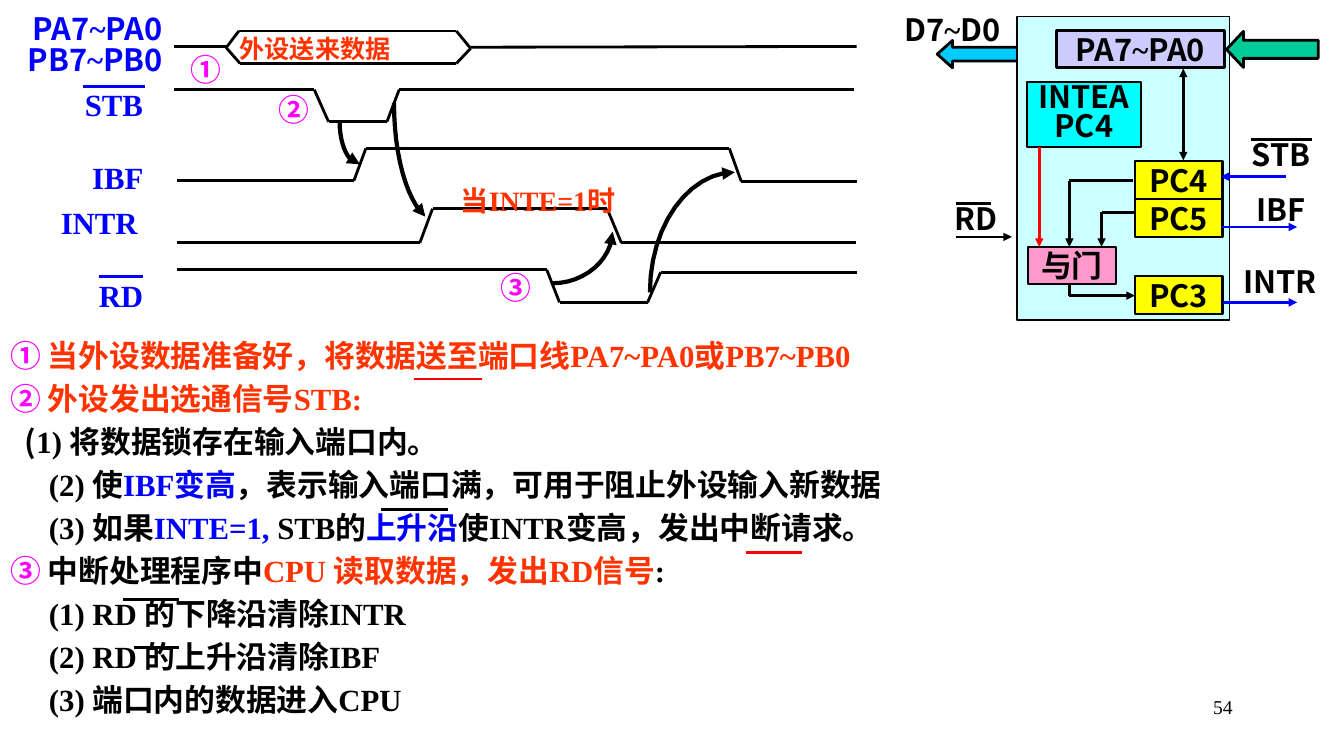
import dataclasses
import itertools

import lxml.etree
import pptx
import pptx.dml.color
import pptx.enum.shapes
import pptx.enum.text
import pptx.oxml.ns
import pptx.util

Cm, Pt = pptx.util.Cm, pptx.util.Pt
qn = pptx.oxml.ns.qn
SHAPES = pptx.enum.shapes.MSO_SHAPE
ALIGN = pptx.enum.text.PP_ALIGN
SANS, SERIF = "Noto Sans CJK SC", "Times New Roman"
COLORS = {
    "black": "000000", "blue": "0000FF", "red": "FF0000", "orange": "FF3300",
    "magenta": "FF00FF", "panel": "CCFFFF", "port": "CCCCFF", "pin": "FFFF00",
    "enable": "00FFFF", "gate": "FF99CC", "bus": "00CCFF", "device": "00CC99",
}


def rgb(color):
    """Look a colour up by name."""
    return pptx.dml.color.RGBColor.from_string(COLORS[color])


def set_face(font, name):
    """Set the Latin face, with the sans face for Chinese."""
    font.name = name
    lxml.etree.SubElement(font._element, qn("a:ea"), typeface=SANS)


def set_line(shape, color, width, ends=()):
    """Style an outline and add arrowheads at the named ends."""
    shape.line.color.rgb = rgb(color)
    shape.line.width = Pt(width)
    outline = shape._element.spPr.find(qn("a:ln"))
    for end in ends:
        lxml.etree.SubElement(outline, qn(f"a:{end}"), type="triangle")


def write(frame, text, color="black", face=SANS, size=22, spacing=1.2, bold=True):
    """Fill a text frame with centred lines, tildes in the serif face."""
    frame.word_wrap = True
    frame.vertical_anchor = pptx.enum.text.MSO_ANCHOR.MIDDLE
    frame.margin_left = frame.margin_right = frame.margin_top = frame.margin_bottom = 0
    for index, line in enumerate(text.split("\n")):
        para = frame.add_paragraph() if index else frame.paragraphs[0]
        para.alignment = ALIGN.CENTER
        para.line_spacing = Pt(size * spacing)
        para.font.size, para.font.bold = Pt(size), bold
        para.font.color.rgb = rgb(color)
        for piece in filter(None, line.partition("~")):
            span = para.add_run()
            span.text = piece
            set_face(span.font, SERIF if piece == "~" else face)


@dataclasses.dataclass
class Region:
    """A part of the page whose contents are placed from its corner, in cm."""
    page: object
    left: float
    top: float

    def place(self, x, y):
        """Turn region coordinates into page lengths."""
        return Cm(self.left + x), Cm(self.top + y)

    def line(self, points, color="black", ends=()):
        """Join the points with straight lines, arrowheads on the last one."""
        pairs = list(itertools.pairwise(points))
        for index, (start, finish) in enumerate(pairs, 1):
            connector = self.page.shapes.add_connector(
                pptx.enum.shapes.MSO_CONNECTOR.STRAIGHT,
                *self.place(*start), *self.place(*finish))
            set_line(connector, color, 2, ends if index == len(pairs) else ())
            lxml.etree.SubElement(connector._element.spPr, qn("a:effectLst"))

    def curve(self, controls, steps=12):
        """Draw a cubic curve that ends in an arrowhead."""
        points = []
        for step in range(steps + 1):
            t = step / steps
            weights = ((1 - t) ** 3, 3 * t * (1 - t) ** 2, 3 * t * t * (1 - t), t ** 3)
            points.append(self.place(*(
                sum(w * c for w, c in zip(weights, axis)) for axis in zip(*controls))))
        builder = self.page.shapes.build_freeform(*points[0])
        builder.add_line_segments(points[1:], close=False)
        arc = builder.convert_to_shape()
        arc.shadow.inherit = False
        arc.fill.background()
        set_line(arc, "black", 3, ("tailEnd",))

    def label(self, text, x, y, width=4.2, **style):
        """Centre a line of text on a point."""
        box = self.page.shapes.add_textbox(
            *self.place(x - width / 2, y - 0.5), Cm(width), Cm(1))
        write(box.text_frame, text, **style)

    def block(self, x, y, width, height, fill, outline=1.5, text="",
              kind=SHAPES.RECTANGLE, **style):
        """Draw a filled shape with optional text."""
        shape = self.page.shapes.add_shape(
            kind, *self.place(x, y), Cm(width), Cm(height))
        shape.shadow.inherit = False
        shape.fill.solid()
        shape.fill.fore_color.rgb = rgb(fill)
        set_line(shape, "black", outline)
        if text:
            write(shape.text_frame, text, **style)
        return shape


def add_notes(page, left, top, width, height):
    """Write the explanation in the body placeholder and overline its signals."""
    mark, key, plain = "magenta", "orange", "black"
    lines = [
        (0, [("① ", mark), ("当外设数据准备好，将数据送至端口线PA7~PA0或PB7~PB0", key)]),
        (0, [("② ", mark), ("外设发出选通信号STB:", key)]),
        (0.37, [("(", plain), ("1) 将数据锁存在输入端口内。", plain)]),
        (0.98, [("(2) 使", plain), ("IBF变高", "blue"),
                ("，表示输入端口满，可用于阻止外设输入新数据", plain)]),
        (0.98, [("(3) 如果", plain), ("INTE=1,", "blue"), (" STB的", plain),
                ("上升沿", "blue"), ("使INTR变高，发出中断请求。", plain)]),
        (0, [("③ ", mark), ("中断处理程序中", plain),
             ("CPU 读取数据，发出RD信号", key), (":", plain)]),
        (0.98, [("(1) RD 的下降沿清除INTR", plain)]),
        (0.98, [("(2) RD 的上升沿清除IBF", plain)]),
        (0.98, [("(3) 端口内的数据进入CPU", plain)]),
    ]
    region = Region(page, left, top)
    body = page.placeholders[1]
    body.left, body.top = region.place(0, 0.1)
    body.width, body.height = Cm(width), Cm(height)
    frame = body.text_frame
    frame.word_wrap = True
    frame.auto_size = pptx.enum.text.MSO_AUTO_SIZE.NONE
    frame.vertical_anchor = pptx.enum.text.MSO_ANCHOR.TOP
    for index, (indent, spans) in enumerate(lines):
        para = frame.add_paragraph() if index else frame.paragraphs[0]
        layout = para._p.get_or_add_pPr()
        layout.set("marL", str(Cm(indent)))
        layout.set("indent", "0")
        lxml.etree.SubElement(layout, qn("a:buNone"))
        para.alignment = ALIGN.LEFT
        para.line_spacing, para.space_before, para.space_after = Pt(26.4), Pt(0), Pt(4.4)
        para.font.size, para.font.bold = Pt(22), True
        for text, color in spans:
            span = para.add_run()
            span.text = text
            set_face(span.font, SANS if color == mark or text == "(" else SERIF)
            span.font.color.rgb = rgb(color)
    for start, finish, y, color in [
            (10.44, 12.14, 1.3, "red"), (9.6, 11.28, 4.58, "black"),
            (18.8, 20.22, 5.67, "red"), (3.1, 4.52, 6.86, "black"),
            (3.38, 4.52, 8.06, "black")]:
        region.line([(start, y), (finish, y)], color)


def add_timing(page, left, top):
    """Draw the timing diagram with its signal names and cause arrows."""
    region = Region(page, left, top)
    for text, x, y, face in [
            ("PA7~PA0", 2.46, 0.72, SANS), ("PB7~PB0", 2.4, 1.5, SANS),
            ("STB", 2.87, 2.62, SERIF), ("IBF", 2.97, 4.46, SERIF),
            ("INTR", 2.5, 5.6, SERIF), ("RD", 3.05, 7.43, SERIF)]:
        region.label(text, x, y, color="blue", face=face)
    region.line([(2.08, 2.18), (3.66, 2.18)], "blue")
    region.line([(2.49, 6.96), (3.61, 6.96)], "blue")
    for wave in [
            [(4.39, 1.17), (5.7, 1.17)],
            [(5.7, 1.2), (6.02, 0.78), (11.5, 0.78), (11.86, 1.22),
             (11.5, 1.6), (6.05, 1.6), (5.7, 1.2)],
            [(11.86, 1.19), (21.59, 1.17)],
            [(4.39, 2.26), (7.92, 2.26), (8.28, 3.07), (9.75, 3.07),
             (10.06, 2.26), (21.51, 2.26)],
            [(4.45, 4.55), (8.92, 4.55), (9.22, 3.74), (18.38, 3.74),
             (18.68, 4.57), (21.59, 4.57)],
            [(4.47, 6.12), (10.58, 6.12), (10.9, 5.26), (15.3, 5.26),
             (15.66, 6.12), (21.56, 6.12)],
            [(4.45, 6.8), (13.78, 6.8), (14.1, 7.62), (16.32, 7.62),
             (16.65, 6.86), (21.59, 6.86)]]:
        region.line(wave)
    region.label("外设送来数据", 7.94, 1.21, color="orange", size=18)
    region.label("当INTE=1时", 13.56, 5.04, 6, color="orange", face=SERIF, size=20)
    for text, x, y in [("①", 5.19, 1.74), ("②", 7.4, 2.75), ("③", 12.99, 7.23)]:
        region.label(text, x, y, 1.3, color="magenta")
    for controls in [
            [(8.56, 3.07), (8.56, 3.66), (8.79, 4.14), (9.07, 4.14)],
            [(9.93, 2.59), (9.93, 3.89), (10.24, 5.03), (10.72, 5.46)],
            [(13.92, 7.14), (14.73, 7.14), (15.42, 6.55), (15.44, 5.84)],
            [(16.38, 7.37), (16.38, 5.69), (17.35, 4.34), (18.52, 4.34)]]:
        region.curve(controls)


def add_interface(page, left, top):
    """Draw the port block diagram with its pins and signals."""
    region = Region(page, left, top)
    bus = region.block(1.12, 1.02, 2.03, 0.69, "bus", 2, kind=SHAPES.LEFT_ARROW)
    bus.adjustments[1] = 0.56
    region.block(3.13, 0.42, 5.36, 7.65, "panel", 1)
    region.block(4.12, 0.76, 4.24, 0.94, "port", 2, "PA7~PA0")
    for pin, y in [("PC4", 4.06), ("PC5", 5.02), ("PC3", 6.96)]:
        region.block(6.1, y, 2.21, 0.95, "pin", text=pin)
    region.block(3.38, 2.06, 2.87, 1.65, "enable", text="INTEA\nPC4", spacing=0.94)
    region.block(3.41, 6.22, 2.21, 0.94, "gate", text="与门")
    device = region.block(8.41, 0.79, 2.31, 0.91, "device", 2, kind=SHAPES.LEFT_ARROW)
    device.adjustments[1] = 0.47
    region.line([(7.32, 1.73), (7.32, 4.04)], ends=("headEnd", "tailEnd"))
    for points, color in [
            ([(1.58, 5.97), (3, 5.97)], "black"),
            ([(3.69, 3.71), (3.69, 6.22)], "red"),
            ([(6.05, 4.55), (4.45, 4.55), (4.45, 6.22)], "black"),
            ([(6.1, 5.35), (5.26, 5.35), (5.26, 6.22)], "black"),
            ([(4.45, 7.19), (4.45, 7.45), (6.1, 7.45)], "black"),
            ([(9.91, 4.45), (8.26, 4.45)], "blue"),
            ([(8.26, 5.72), (10.19, 5.72)], "blue"),
            ([(8.31, 7.62), (10.19, 7.62)], "blue")]:
        region.line(points, color, ("tailEnd",))
    region.line([(1.58, 5.13), (2.47, 5.13)])
    region.line([(9.02, 3.52), (10.57, 3.52)])
    for text, x, y in [("D7~D0", 1.5, 0.74), ("RD", 2.1, 5.49), ("STB", 9.79, 3.89),
                       ("IBF", 9.79, 5.27), ("INTR", 9.76, 7.09)]:
        region.label(text, x, y, 3)


def main():
    """Build the one-page deck."""
    deck = pptx.Presentation()
    deck.slide_width, deck.slide_height = Cm(33.87), Cm(19.05)
    page = deck.slides.add_slide(deck.slide_layouts[1])
    title = page.shapes.title._element
    title.getparent().remove(title)
    add_notes(page, 0, 8.25, 31.9, 10.24)
    add_timing(page, 0, 0)
    add_interface(page, 22.5, 0)
    Region(page, 0, 0).label("54", 30.82, 17.8, face=SERIF, size=14, bold=False)
    deck.save("out.pptx")


if __name__ == "__main__":
    main()
